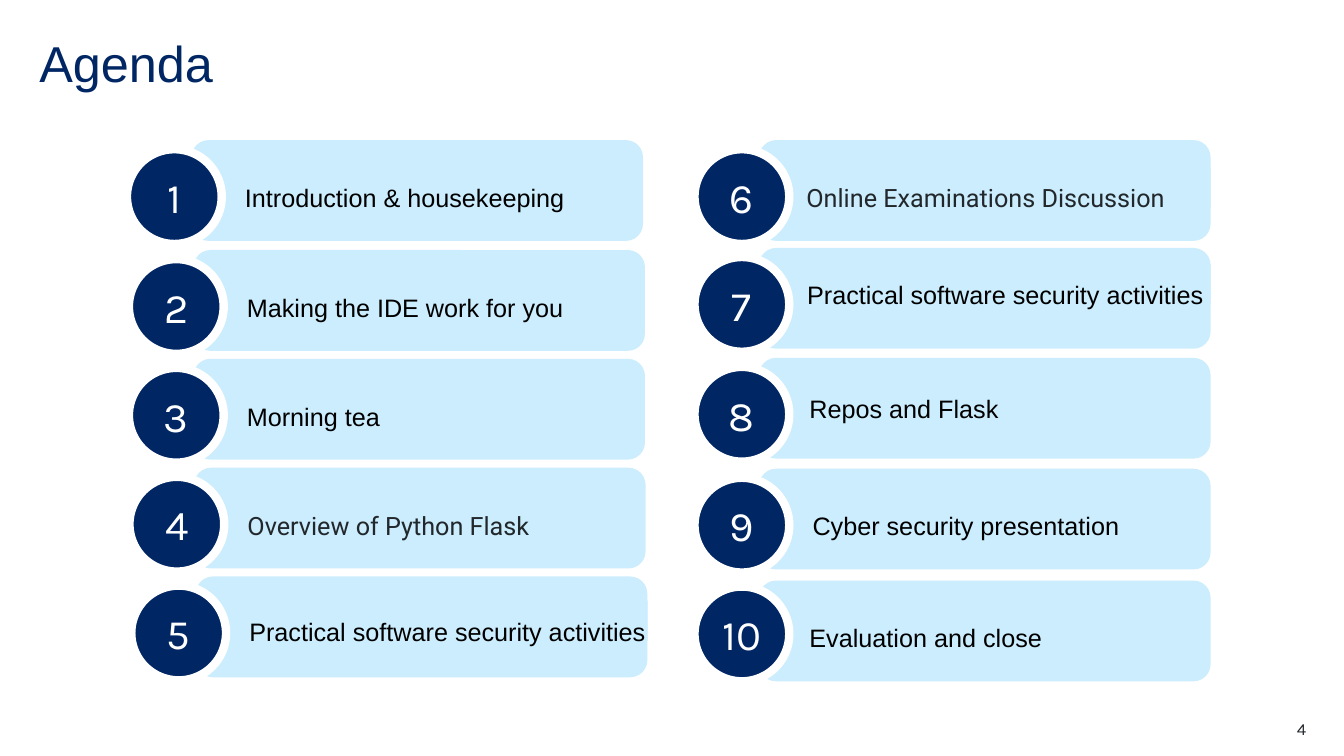
import pptx
import pptx.util
import pptx.dml.color
import pptx.enum.shapes
import pptx.enum.text

Pt = pptx.util.Pt
SHAPE = pptx.enum.shapes.MSO_SHAPE
ALIGN = pptx.enum.text.PP_ALIGN
ANCHOR = pptx.enum.text.MSO_ANCHOR

COLORS = {"navy": "002664", "sky": "CBEDFD", "white": "FFFFFF", "ink": "22272B", "black": "000000"}
PILL_W, PILL_H, CIRCLE = 322.5, 72, 67.7

ACTIVITIES = "Practical software security activities"
ROBOTO = {"font": "Roboto", "color": "ink"}
LEFT_ITEMS = [
    ("Introduction & housekeeping", 136.8, 100.1, {}),
    ("Making the IDE work for you", 138.2, 178.6, {}),
    ("Morning tea", 138.2, 256.3, {}),
    ("Overview of Python Flask", 138.6, 334.1, ROBOTO),
    (ACTIVITIES, 139.9, 411.8, {"dy": 17.3, "w": 284.6}),
]
RIGHT_ITEMS = [
    ("Online Examinations Discussion", 542.2, 100.1, {"dx": 33.8, "w": 288.7, **ROBOTO}),
    (ACTIVITIES, 542.2, 177.1, {"dx": 34.3, "dy": 11.5, "w": 288.2}),
    ("Repos and Flask", 542.2, 255.6, {"dx": 36, "dy": 25.2, "h": 21.6, "spacing": 1.0}),
    ("Cyber security presentation", 542.2, 334.8, {"dy": 18.7}),
    ("Evaluation and close", 542.2, 414.7, {"dx": 36, "dy": 18.7, "circle_dy": 4.3}),
]


def rgb(name):
    return pptx.dml.color.RGBColor.from_string(COLORS[name])


def write(sp, text, size=18, font="Arial", color="black", align=ALIGN.LEFT,
          anchor=ANCHOR.TOP, spacing=None, wrap=True, inset=0):
    tf = sp.text_frame
    tf.word_wrap = wrap
    tf.vertical_anchor = anchor
    tf.margin_left = tf.margin_top = tf.margin_right = tf.margin_bottom = Pt(inset)
    p = tf.paragraphs[0]
    p.alignment = align
    if spacing:
        p.line_spacing = spacing
    r = p.add_run()
    r.text = text
    r.font.size = Pt(size)
    r.font.name = font
    r.font.color.rgb = rgb(color)


def add_shape(s, kind, x, y, w, h, fill):
    sp = s.shapes.add_shape(kind, Pt(x), Pt(y), Pt(w), Pt(h))
    sp.shadow.inherit = False
    sp.fill.solid()
    sp.fill.fore_color.rgb = rgb(fill)
    sp.line.fill.background()
    return sp


def add_title(s, text, x, y, w, h):
    sp = s.shapes.title
    sp.left, sp.top, sp.width, sp.height = Pt(x), Pt(y), Pt(w), Pt(h)
    write(sp, text, size=36, color="navy", spacing=0.9)


def add_item(s, number, label, x, y, dx=38.2, dy=19.4, w=261.4, h=28.8,
             font="Arial", color="black", spacing=1.5, circle_dy=6.5):
    pill = add_shape(s, SHAPE.ROUNDED_RECTANGLE, x, y, PILL_W, PILL_H, "sky")
    pill.adjustments[0] = 0.17
    disc = add_shape(s, SHAPE.OVAL, x - 46.1, y + circle_dy, CIRCLE, CIRCLE, "navy")
    disc.line.color.rgb = rgb("white")
    disc.line.width = Pt(6)
    write(disc, str(number), size=30, font="Karla", color="white",
          align=ALIGN.CENTER, anchor=ANCHOR.MIDDLE, wrap=False, inset=3.6)
    box = add_shape(s, SHAPE.RECTANGLE, x + dx, y + dy, w, h, "sky")
    write(box, label, font=font, color=color, spacing=spacing)


def add_page_number(s, text, x, y, w, h):
    sp = s.shapes.add_textbox(Pt(x), Pt(y), Pt(w), Pt(h))
    write(sp, text, size=12, font="Karla", color="ink", align=ALIGN.RIGHT)


def main():
    prs = pptx.Presentation()
    prs.slide_width, prs.slide_height = Pt(960), Pt(540)
    s = prs.slides.add_slide(prs.slide_layouts[5])
    add_title(s, "Agenda", 28.1, 28.1, 904.3, 43.2)
    for number, (label, x, y, options) in enumerate(LEFT_ITEMS + RIGHT_ITEMS, 1):
        add_item(s, number, label, x, y, **options)
    add_page_number(s, "4", 876.2, 513.4, 56.9, 14.4)
    prs.save("out.pptx")


if __name__ == "__main__":
    main()
